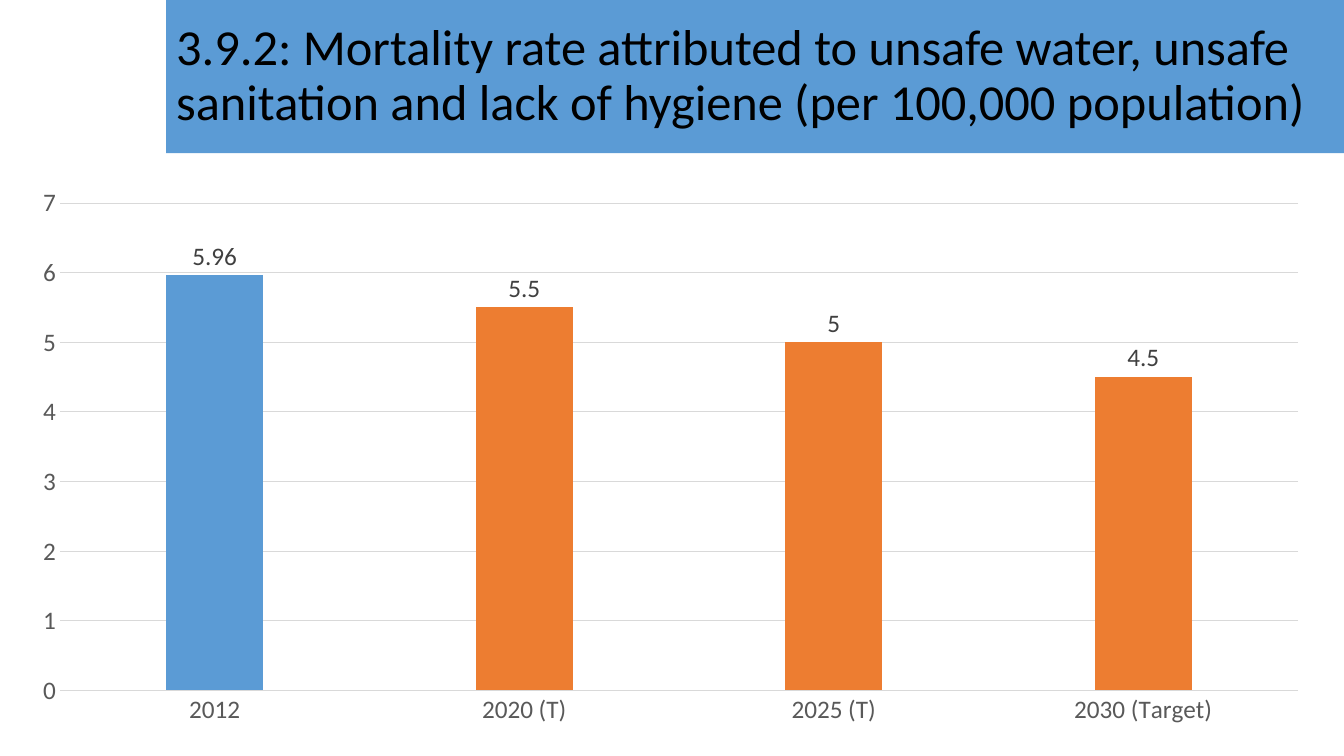
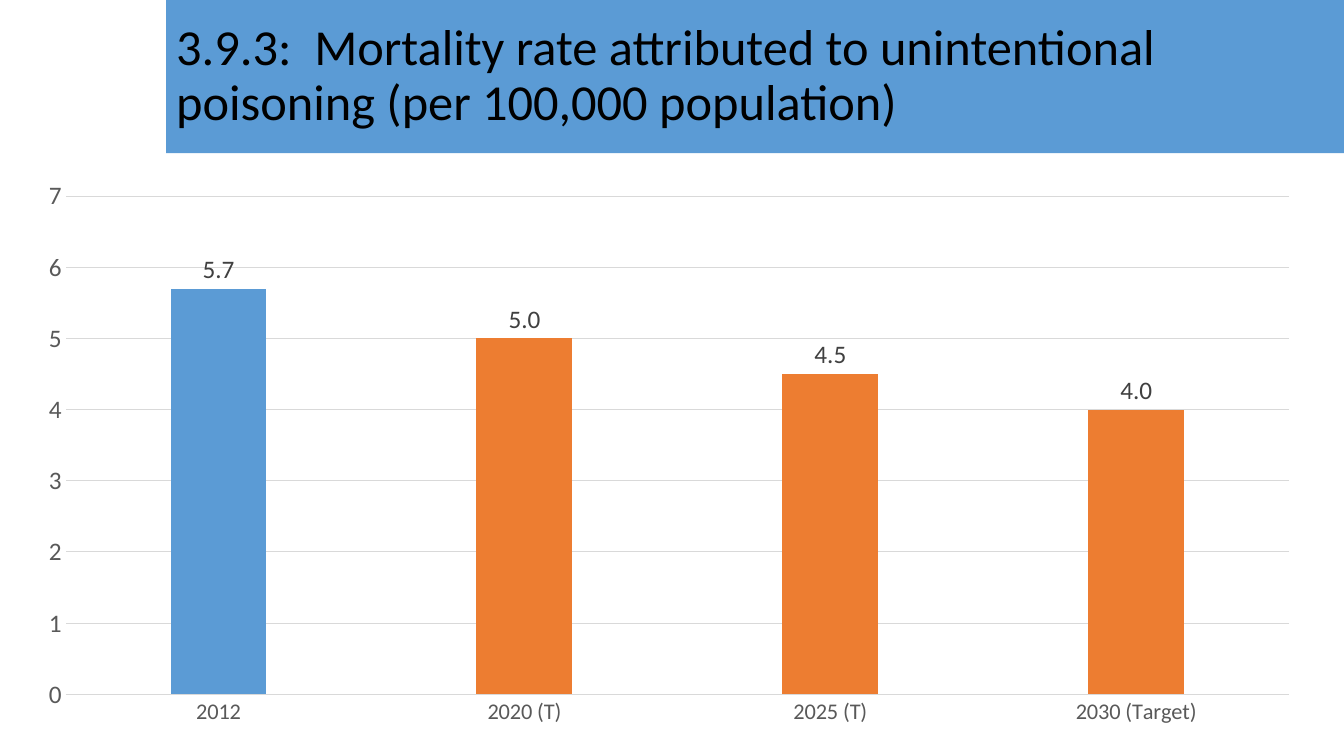
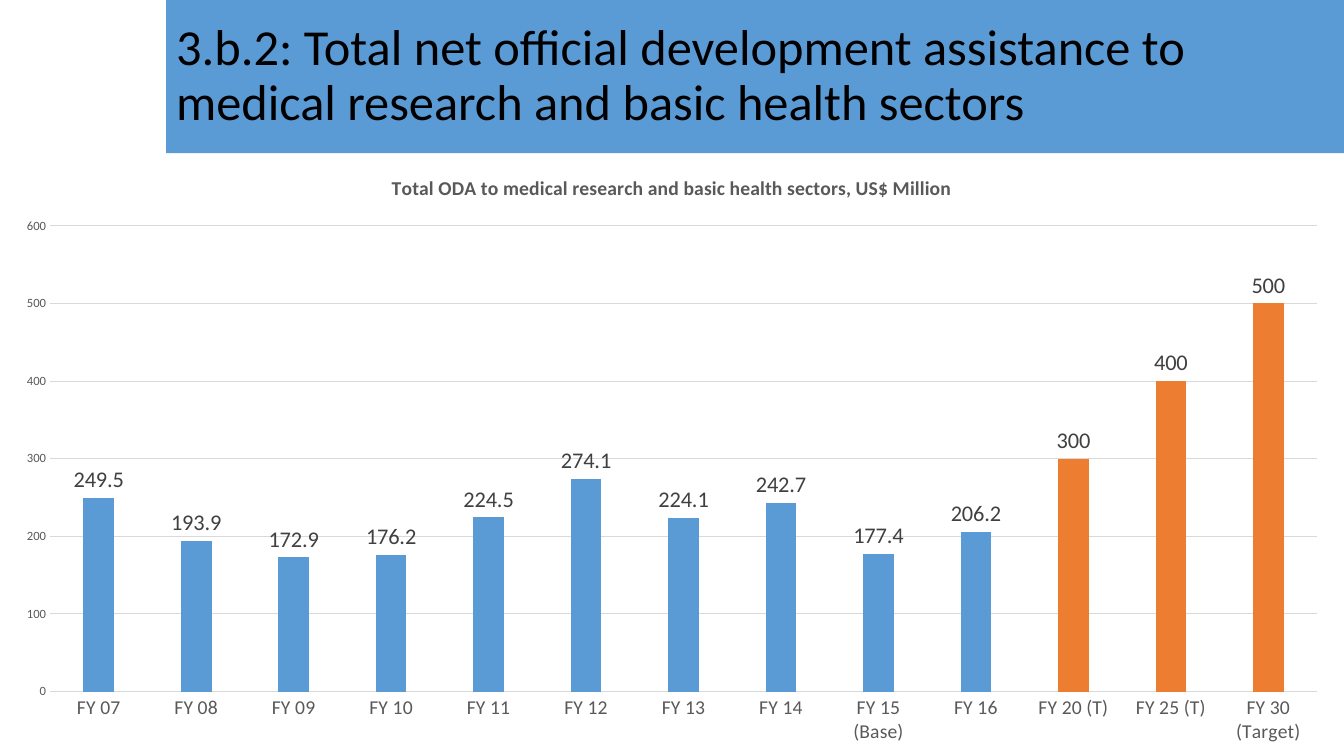
from dataclasses import dataclass

from pptx import Presentation
from pptx.chart import data
from pptx.dml import color
from pptx.enum import chart as kinds, shapes, text
from pptx.util import Cm, Pt

WIDE, HIGH = 33.87, 19.05
BAND_X, BAND_H = 4.19, 3.86
BLUE, ORANGE = "5B9BD5", "ED7D31"
BLACK, DARK, GREY, PALE = "000000", "404040", "595959", "D9D9D9"
FACE = "Calibri"
YEARS = ("2012", "2020 (T)", "2025 (T)", "2030 (Target)")
FISCAL = tuple(f"FY {year:02}" for year in range(7, 15)) + (
    "FY 15 (Base)", "FY 16", "FY 20 (T)", "FY 25 (T)", "FY 30 (Target)")


@dataclass
class Page:
    title: str
    box: tuple[float, float, float, float]
    cats: tuple[str, ...]
    vals: tuple[float, ...]
    top: float
    step: float
    cat_size: int
    val_size: int
    tag_size: int
    form: str = "General"
    head: str = ""
    goals: int = 3


PAGES = (
    Page("3.9.2: Mortality rate attributed to unsafe water, unsafe sanitation "
         "and lack of hygiene (per 100,000 population)",
         (0.43, 4.45, 32.94, 14.1), YEARS, (5.96, 5.5, 5, 4.5),
         top=7, step=1, cat_size=18, val_size=18, tag_size=18),
    Page("3.9.3:  Mortality rate attributed to unintentional poisoning "
         "(per 100,000 population)",
         (0.58, 4.27, 32.56, 14.3), YEARS, (5.7, 5, 4.5, 4),
         top=7, step=1, cat_size=16, val_size=18, tag_size=18, form="0.0"),
    Page("3.b.2: Total net official development assistance to medical research "
         "and basic health sectors",
         (0, BAND_H, WIDE, HIGH - BAND_H), FISCAL,
         (249.5, 193.9, 172.9, 176.2, 224.5, 274.1, 224.1, 242.7, 177.4, 206.2,
          300, 400, 500),
         top=600, step=100, cat_size=14, val_size=9, tag_size=16,
         head="Total ODA to medical research and basic health sectors, US$ Million"),
)


def rgb(code: str) -> color.RGBColor:
    return color.RGBColor.from_string(code)


def paint(fill, code: str) -> None:
    fill.solid()
    fill.fore_color.rgb = rgb(code)


def style(font, size: float, code: str, bold: bool = False) -> None:
    font.name, font.size, font.bold = FACE, Pt(size), bold
    font.color.rgb = rgb(code)


def rule(line) -> None:
    """Give an axis or grid line the pale hairline look."""
    line.width = Pt(0.75)
    line.color.rgb = rgb(PALE)


def write(frame, words: str, *, size: float, code: str = BLACK,
          bold: bool = False, align=text.PP_ALIGN.LEFT, space: float = 1) -> None:
    para = frame.paragraphs[0]
    para.alignment, para.line_spacing = align, space
    run = para.add_run()
    run.text = words
    style(run.font, size, code, bold)


def add_band(slide, title: str) -> None:
    band = slide.shapes.add_shape(shapes.MSO_SHAPE.RECTANGLE, Cm(BAND_X), Cm(0),
                                  Cm(WIDE - BAND_X), Cm(BAND_H))
    band.shadow.inherit = False
    paint(band.fill, BLUE)
    band.line.fill.background()
    frame = band.text_frame
    frame.word_wrap = True
    frame.vertical_anchor = text.MSO_ANCHOR.MIDDLE
    write(frame, title, size=36, space=0.9)


def set_axes(chart, page: Page) -> None:
    cat, val = chart.category_axis, chart.value_axis
    for axis, size in ((cat, page.cat_size), (val, page.val_size)):
        axis.major_tick_mark = axis.minor_tick_mark = kinds.XL_TICK_MARK.NONE
        style(axis.tick_labels.font, size, GREY)
    rule(cat.format.line)
    val.format.line.fill.background()
    val.minimum_scale, val.maximum_scale, val.major_unit = 0, page.top, page.step
    val.tick_labels.number_format = "0"
    val.tick_labels.number_format_is_linked = False
    val.has_major_gridlines = True
    rule(val.major_gridlines.format.line)


def set_bars(plot, page: Page) -> None:
    """Colour the bars, with the closing goal years in orange, and label them."""
    plot.gap_width, plot.overlap, plot.vary_by_categories = 219, -27, False
    bars = plot.series[0]
    paint(bars.format.fill, BLUE)
    count = len(page.vals)
    for spot in range(count - page.goals, count):
        paint(bars.points[spot].format.fill, ORANGE)
    tags = bars.data_labels
    tags.show_value = True
    tags.position = kinds.XL_LABEL_POSITION.OUTSIDE_END
    tags.number_format, tags.number_format_is_linked = page.form, False
    style(tags.font, page.tag_size, DARK)


def add_graph(slide, page: Page) -> None:
    table = data.CategoryChartData(number_format=page.form)
    table.categories = page.cats
    table.add_series("Series 1", page.vals)
    chart = slide.shapes.add_chart(kinds.XL_CHART_TYPE.COLUMN_CLUSTERED,
                                   *map(Cm, page.box), table).chart
    style(chart.font, 10, BLACK)
    chart.has_legend = False
    chart.has_title = bool(page.head)
    if page.head:
        write(chart.chart_title.text_frame, page.head, size=14, code=GREY,
              bold=True, align=text.PP_ALIGN.CENTER)
        chart.chart_title.include_in_layout = False
    set_axes(chart, page)
    set_bars(chart.plots[0], page)


def main() -> None:
    deck = Presentation()
    deck.slide_width, deck.slide_height = Cm(WIDE), Cm(HIGH)
    for page in PAGES:
        slide = deck.slides.add_slide(deck.slide_layouts[6])
        add_band(slide, page.title)
        add_graph(slide, page)
    deck.save("out.pptx")


if __name__ == "__main__":
    main()
